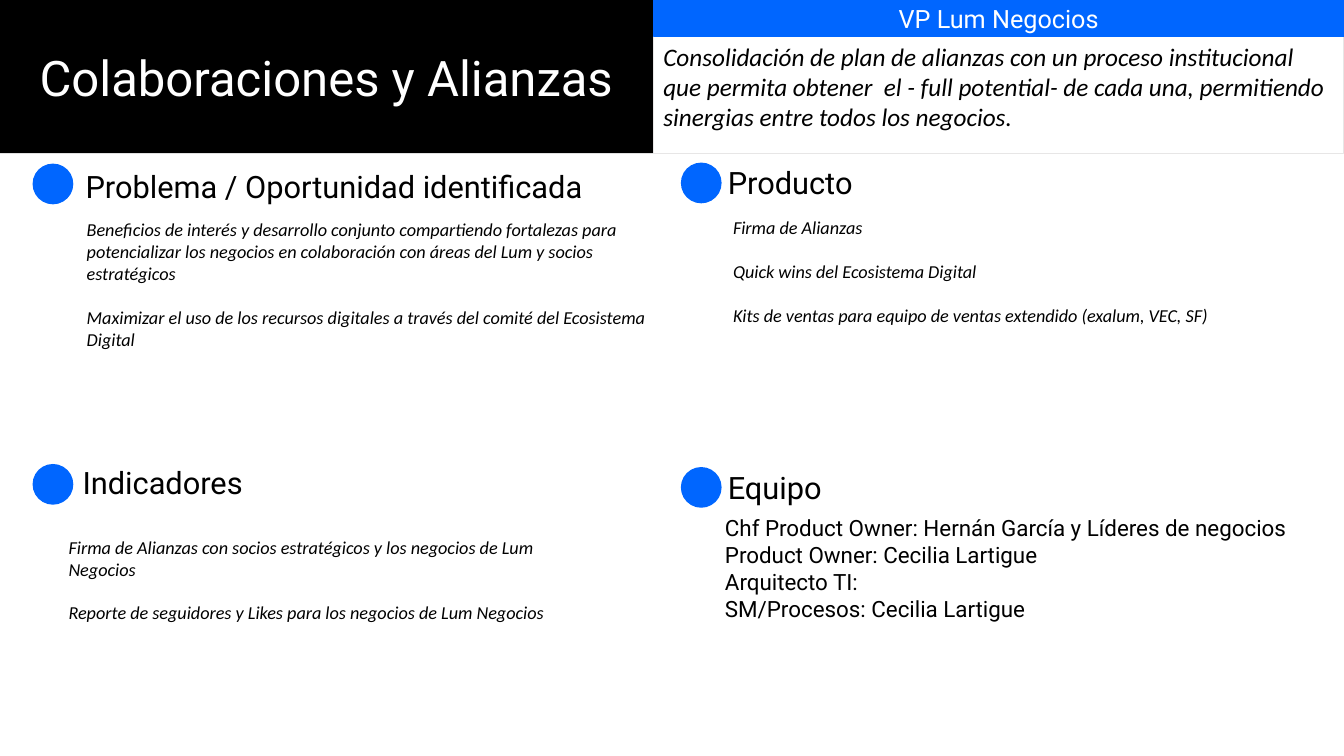
from dataclasses import dataclass

from pptx import Presentation
from pptx.dml.color import RGBColor
from pptx.enum.shapes import MSO_SHAPE
from pptx.enum.text import MSO_ANCHOR, MSO_AUTO_SIZE, PP_ALIGN
from pptx.oxml.ns import qn
from pptx.util import Inches, Pt

RECTANGLE, OVAL = MSO_SHAPE.RECTANGLE, MSO_SHAPE.OVAL
LEFT, CENTER = PP_ALIGN.LEFT, PP_ALIGN.CENTER
TOP, MIDDLE = MSO_ANCHOR.TOP, MSO_ANCHOR.MIDDLE
NO_AUTOFIT = MSO_AUTO_SIZE.NONE
COMPARISON_LAYOUT = 4


@dataclass(frozen=True)
class Theme:
    black: RGBColor = RGBColor(0x00, 0x00, 0x00)
    white: RGBColor = RGBColor(0xFF, 0xFF, 0xFF)
    blue: RGBColor = RGBColor(0x00, 0x66, 0xFF)
    border: RGBColor = RGBColor(0xE7, 0xE6, 0xE6)
    heading_font: str = "Roboto"
    text_font: str = "Calibri"
    title_size: int = 35
    heading_size: int = 22
    statement_size: int = 18
    team_size: int = 16
    note_size: int = 13
    note_gap: float = 15.5


THEME = Theme()

TITLE = "Colaboraciones y Alianzas"
AREA = "VP Lum Negocios"
STATEMENT = (
    "Consolidación de plan de alianzas con un proceso institucional que permita "
    "obtener  el - full potential- de cada una, permitiendo sinergias entre todos los negocios."
)
# Boxes are (left, top, width, height) in inches; dot is (left, top).
SECTIONS = [
    {
        "heading": "Problema / Oportunidad identificada",
        "heading_box": (0.75, 1.61, 5.48, 0.49),
        "dot": (0.33, 1.63),
        "body_box": (0.76, 2.12, 6.04, 2.36),
        "lines": [
            "Beneficios de interés y desarrollo conjunto compartiendo fortalezas para "
            "potencializar los negocios en colaboración con áreas del Lum y socios estratégicos",
            "Maximizar el uso de los recursos digitales a través del comité del Ecosistema Digital",
        ],
    },
    {
        "heading": "Producto",
        "heading_box": (7.12, 1.58, 1.51, 0.53),
        "dot": (6.76, 1.62),
        "body_box": (7.17, 2.1, 6.15, 2.36),
        "lines": [
            "Firma de Alianzas",
            "Quick wins del Ecosistema Digital",
            "Kits de ventas para equipo de ventas extendido (exalum, VEC, SF)",
        ],
    },
    {
        "heading": "Indicadores",
        "heading_box": (0.72, 4.55, 2.55, 0.49),
        "dot": (0.33, 4.61),
        "body_box": (0.58, 5.27, 5.47, 2.12),
        "lines": [
            "Firma de Alianzas con socios estratégicos y los negocios de Lum Negocios",
            "Reporte de seguidores y Likes para los negocios de Lum Negocios",
        ],
    },
    {
        "heading": "Equipo",
        "heading_box": (7.12, 4.6, 1.86, 0.48),
        "dot": (6.76, 4.64),
        "body_box": (7.09, 5.05, 6.14, 2.34),
        "team": True,
        "lines": [
            "Chf Product Owner: Hernán García y Líderes de negocios",
            "Product Owner: Cecilia Lartigue",
            "Arquitecto TI:",
            "SM/Procesos: Cecilia Lartigue",
        ],
    },
]

SLIDE_WIDTH, SLIDE_HEIGHT = 13.33, 7.5
SPLIT, HEADER_HEIGHT, BANNER_HEIGHT = 6.48, 1.52, 0.36
DOT_SIZE = 0.39


def place(shape, box):
    shape.left, shape.top, shape.width, shape.height = map(Inches, box)


def add_panel(slide, kind, box, fill, line, line_width):
    shape = slide.shapes.add_shape(kind, *map(Inches, box))
    shape.shadow.inherit = False
    if fill is None:
        shape.fill.background()
    else:
        shape.fill.solid()
        shape.fill.fore_color.rgb = fill
    shape.line.color.rgb = line
    shape.line.width = Pt(line_width)
    return shape


def write(shape, lines, font, size, color=THEME.black, italic=False,
          align=LEFT, anchor=TOP, gap=0):
    """Fill a shape with unbulleted paragraphs separated by gap points."""
    frame = shape.text_frame
    frame.word_wrap = True
    frame.auto_size = NO_AUTOFIT
    frame.vertical_anchor = anchor
    for index, line in enumerate(lines):
        paragraph = frame.paragraphs[0] if index == 0 else frame.add_paragraph()
        paragraph.text = line
        paragraph.alignment = align
        paragraph.space_before = Pt(gap if index else 0)
        if shape.is_placeholder:
            properties = paragraph._p.get_or_add_pPr()
            properties.set("marL", "0")
            properties.set("indent", "0")
            properties.append(properties.makeelement(qn("a:buNone"), {}))
        paragraph.font.name = font
        paragraph.font.size = Pt(size)
        paragraph.font.bold = False
        paragraph.font.italic = italic
        paragraph.font.color.rgb = color


def add_header(slide):
    title = slide.shapes.title
    place(title, (0, 0, SPLIT, HEADER_HEIGHT))
    title.fill.solid()
    title.fill.fore_color.rgb = THEME.black
    write(title, [TITLE], THEME.heading_font, THEME.title_size, THEME.white,
          align=CENTER, anchor=MIDDLE)

    right_width = SLIDE_WIDTH - SPLIT
    statement = add_panel(
        slide, RECTANGLE,
        (SPLIT, BANNER_HEIGHT, right_width, HEADER_HEIGHT - BANNER_HEIGHT),
        None, THEME.border, 0.75)
    write(statement, [STATEMENT], THEME.text_font, THEME.statement_size, italic=True)

    banner = add_panel(slide, RECTANGLE, (SPLIT, 0, right_width, BANNER_HEIGHT),
                       THEME.blue, THEME.blue, 1)
    write(banner, [AREA], THEME.heading_font, THEME.statement_size, THEME.white,
          align=CENTER, anchor=MIDDLE)


def add_section(slide, section, body):
    place(body, section["body_box"])
    if section.get("team"):
        write(body, section["lines"], THEME.heading_font, THEME.team_size)
    else:
        write(body, section["lines"], THEME.text_font, THEME.note_size,
              italic=True, gap=THEME.note_gap)

    heading = slide.shapes.add_textbox(*map(Inches, section["heading_box"]))
    write(heading, [section["heading"]], THEME.heading_font, THEME.heading_size)
    add_panel(slide, OVAL, (*section["dot"], DOT_SIZE, DOT_SIZE),
              THEME.blue, THEME.blue, 1)


def main():
    presentation = Presentation()
    presentation.slide_width = Inches(SLIDE_WIDTH)
    presentation.slide_height = Inches(SLIDE_HEIGHT)
    slide = presentation.slides.add_slide(presentation.slide_layouts[COMPARISON_LAYOUT])
    add_header(slide)
    bodies = list(slide.placeholders)[1:]
    for section, body in zip(SECTIONS, bodies):
        add_section(slide, section, body)
    presentation.save("out.pptx")


if __name__ == "__main__":
    main()
